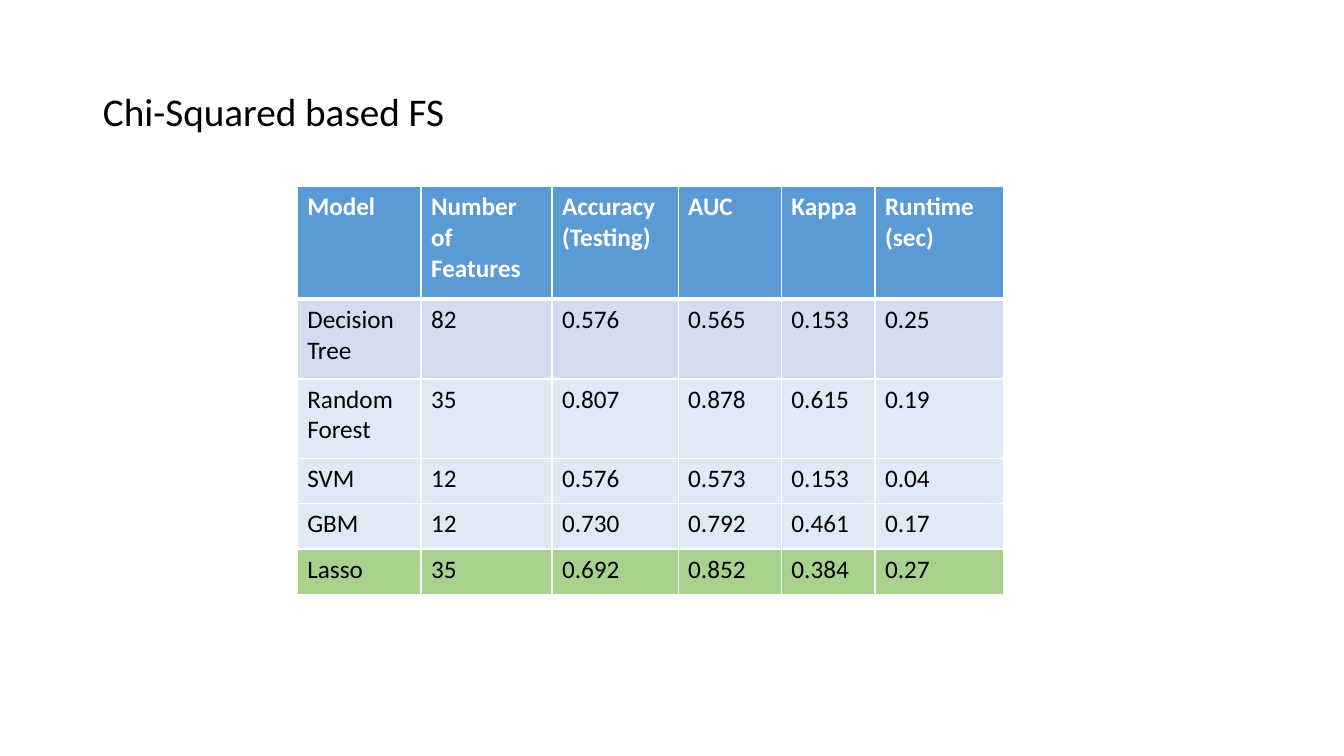
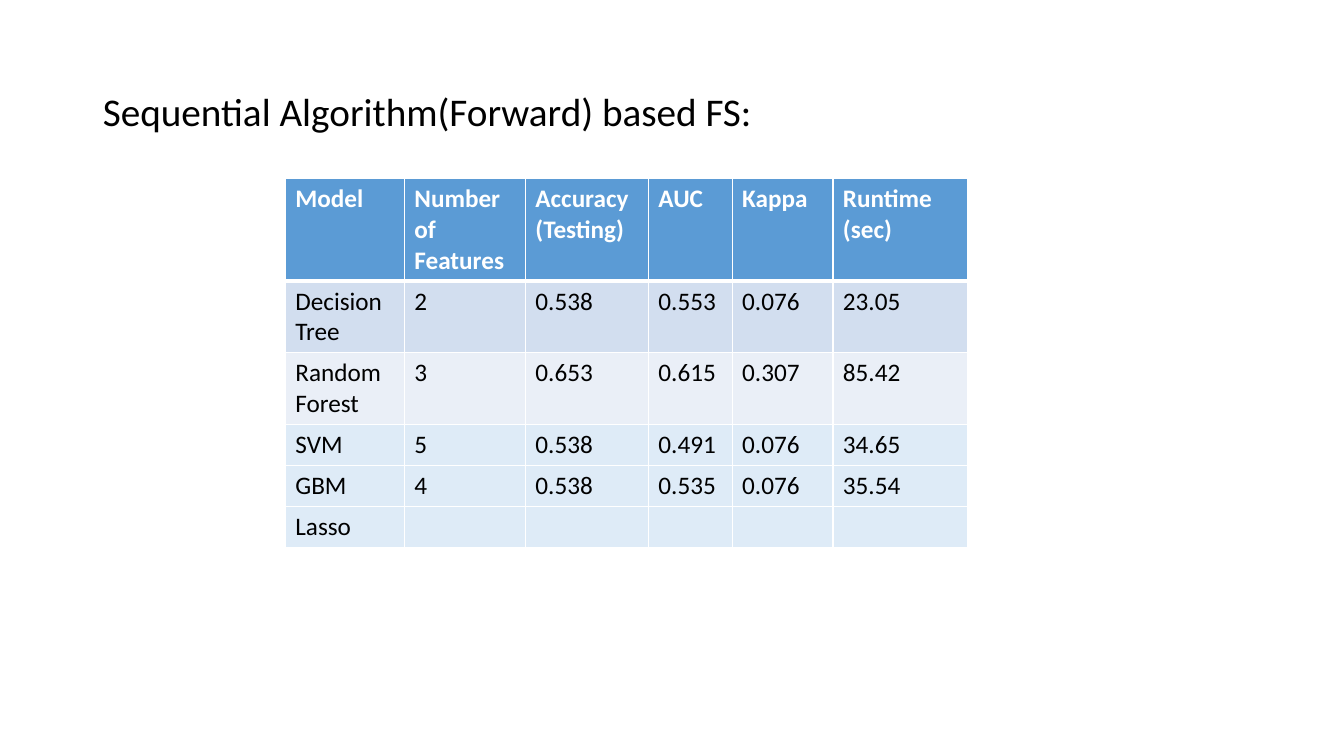
from lxml import etree
from pptx import Presentation
from pptx.dml.color import RGBColor as Rgb
from pptx.enum.text import MSO_ANCHOR as Anchor, MSO_AUTO_SIZE as AutoSize, PP_ALIGN as Align
from pptx.oxml.ns import qn
from pptx.util import Cm, Pt

COLORS = {
    "text": "000000",
    "header_text": "FFFFFF",
    "border": "FFFFFF",
    "header": "5B9BD5",
    "band": "D2DEEF",
    "pale": "EAEFF7",
    "light": "DEEBF7",
    "best": "A9D18E",
}
FONT = "Calibri"
TITLE_BOX = (2.34, 1.02, 29.21, 3.68)
TITLE_FORMAT = {"name": FONT, "size": Pt(28), "bold": False}
HEADER_FORMAT = {"name": FONT, "size": Pt(18), "bold": True}
BODY_FORMAT = {"name": FONT, "size": Pt(18), "bold": False}
THIN, THICK = Pt(1), Pt(3)

HEADINGS = ["Model", "Number of Features", "Accuracy (Testing)", "AUC", "Kappa", "Runtime (sec)"]

# Lengths in centimetres
RESULTS = [
    {
        "title": "Chi-Squared based FS",
        "corner": (7.49, 4.7),
        "widths": [3.12, 3.3, 3.18, 2.6, 2.36, 3.25],
        "heights": [2.84, 2.01, 2.01, 1.14, 1.14, 1.14],
        "fills": ["header", "band", "light", "light", "light", "best"],
        "rows": [
            ["Decision Tree", "82", "0.576", "0.565", "0.153", "0.25"],
            ["Random Forest", "35", "0.807", "0.878", "0.615", "0.19"],
            ["SVM", "12", "0.576", "0.573", "0.153", "0.04"],
            ["GBM", "12", "0.730", "0.792", "0.461", "0.17"],
            ["Lasso", "35", "0.692", "0.852", "0.384", "0.27"],
        ],
    },
    {
        "title": "Sequential Algorithm(Forward) based FS:",
        "corner": (7.19, 4.5),
        "widths": [3, 3.05, 3.1, 2.11, 2.54, 3.4],
        "heights": [2.54, 1.8, 1.8, 1.04, 1.04, 1.04],
        "fills": ["header", "band", "pale", "light", "light", "light"],
        "rows": [
            ["Decision Tree", "2", "0.538", "0.553", "0.076", "23.05"],
            ["Random Forest", "3", "0.653", "0.615", "0.307", "85.42"],
            ["SVM", "5", "0.538", "0.491", "0.076", "34.65"],
            ["GBM", "4", "0.538", "0.535", "0.076", "35.54"],
            ["Lasso", "", "", "", "", ""],
        ],
    },
]


def format_font(font, values, color):
    for name, value in values.items():
        setattr(font, name, value)
    font.color.rgb = Rgb.from_string(COLORS[color])


def add_borders(cell, top, bottom):
    """Draw the four cell borders; call before the cell is filled."""
    properties = cell._tc.get_or_add_tcPr()
    for side, width in (("L", THIN), ("R", THIN), ("T", top), ("B", bottom)):
        line = etree.SubElement(properties, qn(f"a:ln{side}"), w=str(width))
        fill = etree.SubElement(line, qn("a:solidFill"))
        etree.SubElement(fill, qn("a:srgbClr"), val=COLORS["border"])


def place_title(page, text, box):
    title = page.shapes.title
    title.left, title.top, title.width, title.height = (Cm(length) for length in box)
    frame = title.text_frame
    frame.text = text
    for name, value in {"vertical_anchor": Anchor.MIDDLE, "word_wrap": True,
                        "auto_size": AutoSize.NONE}.items():
        setattr(frame, name, value)
    para = frame.paragraphs[0]
    para.alignment = Align.LEFT
    para.line_spacing = 0.9
    format_font(para.runs[0].font, TITLE_FORMAT, "text")


def fill_cell(cell, text, row_index, fill):
    is_header = row_index == 0
    # The heavy rule lies between the header and the first model
    add_borders(cell, THICK if row_index == 1 else THIN, THICK if is_header else THIN)
    cell.fill.solid()
    cell.fill.fore_color.rgb = Rgb.from_string(COLORS[fill])
    cell.text = text
    format_font(cell.text_frame.paragraphs[0].font,
                HEADER_FORMAT if is_header else BODY_FORMAT,
                "header_text" if is_header else "text")


def place_table(page, result):
    rows = [HEADINGS] + result["rows"]
    widths, heights = result["widths"], result["heights"]
    box = (*result["corner"], sum(widths), sum(heights))
    table = page.shapes.add_table(len(rows), len(HEADINGS), *(Cm(length) for length in box)).table
    for column, width in zip(table.columns, widths):
        column.width = Cm(width)
    for index, (row, height, texts, fill) in enumerate(
            zip(table.rows, heights, rows, result["fills"])):
        row.height = Cm(height)
        for cell, text in zip(row.cells, texts):
            fill_cell(cell, text, index, fill)


def add_result_page(deck, result):
    page = deck.slides.add_slide(deck.slide_layouts.get_by_name("Title Only"))
    place_title(page, result["title"], TITLE_BOX)
    place_table(page, result)


def main():
    deck = Presentation()
    deck.slide_width, deck.slide_height = Cm(33.87), Cm(19.05)
    for result in RESULTS:
        add_result_page(deck, result)
    deck.save("out.pptx")


if __name__ == "__main__":
    main()
